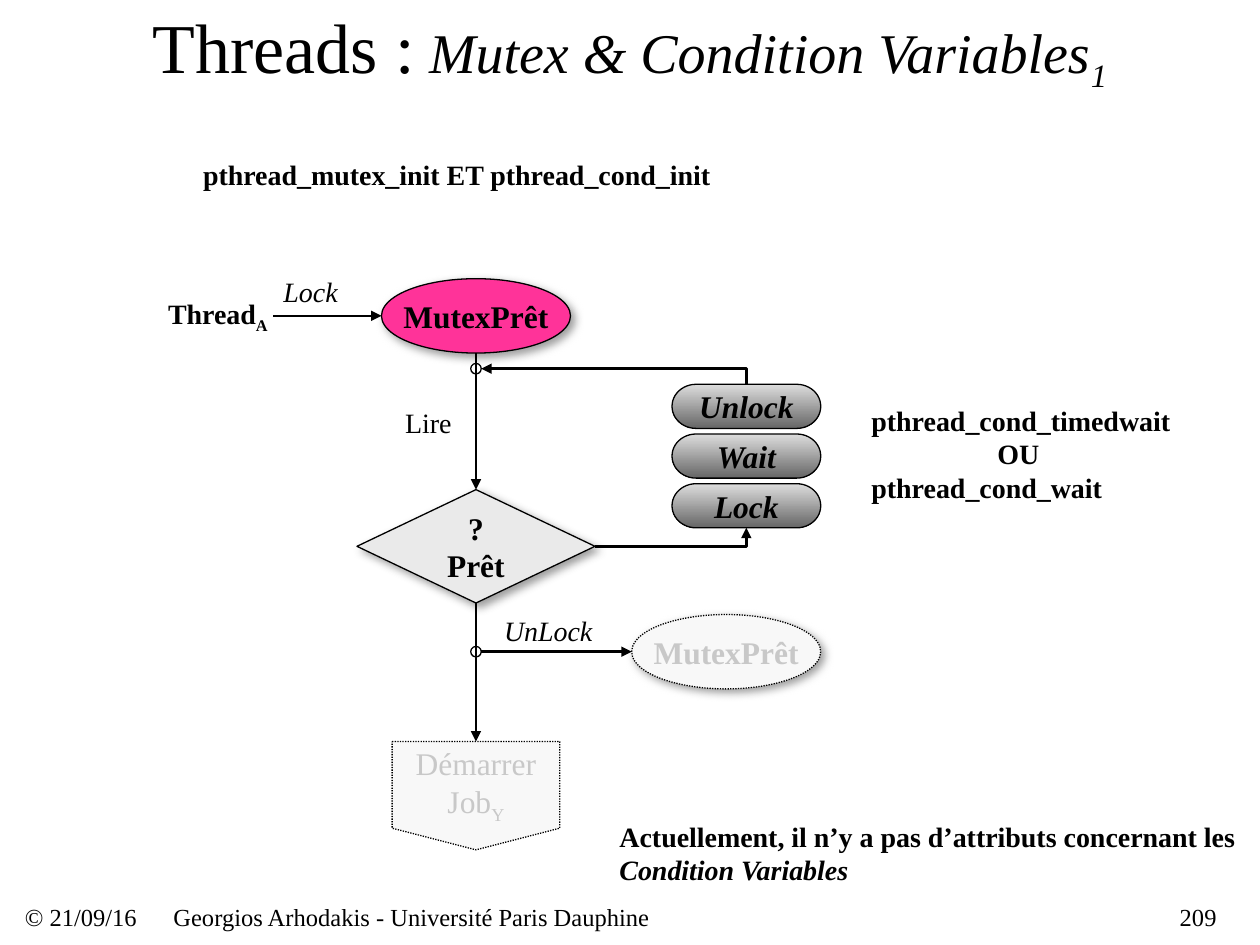
from dataclasses import dataclass

from lxml.etree import SubElement
from pptx import Presentation
from pptx.dml.color import RGBColor
from pptx.enum.dml import MSO_LINE
from pptx.enum.shapes import MSO_CONNECTOR, MSO_SHAPE
from pptx.enum.text import MSO_ANCHOR, PP_ALIGN
from pptx.oxml.ns import qn
from pptx.util import Pt


@dataclass(frozen=True)
class Theme:
    font: str = "Times New Roman"
    ink: str = "000000"
    ghost_ink: str = "C8C8C8"
    ghost_fill: str = "F8F8F8"
    mutex_fill: str = "FF3399"
    decision_fill: str = "EAEAEA"
    step_fill: tuple = ("DDDDDD", "666666")
    shadow: str = "808080"
    title: int = 40
    subtitle: int = 32
    node: int = 18
    label: int = 16
    footer: int = 14
    outline: float = 0.75
    arrow: float = 1.5


THEME = Theme()
AXIS = 272          # centre of the main flow
STEP_AXIS = 426.5   # centre of the Unlock / Wait / Lock stack
JUNCTION = 6
TAB_STOP = 72


@dataclass(frozen=True)
class Span:
    text: str
    size: float
    bold: bool = False
    italic: bool = False
    subscript: bool = False
    color: str = THEME.ink


def rgb(value):
    return RGBColor.from_string(value)


def add_tab_stop(paragraph):
    stops = SubElement(paragraph._p.get_or_add_pPr(), qn("a:tabLst"))
    SubElement(stops, qn("a:tab"), pos=str(Pt(TAB_STOP)), algn="l")


def write(frame, paragraphs, align=PP_ALIGN.LEFT, wrap=True):
    """Fill a text frame; each paragraph is a list of spans."""
    frame.word_wrap = wrap
    frame.vertical_anchor = MSO_ANCHOR.MIDDLE
    frame.margin_left = frame.margin_right = frame.margin_top = frame.margin_bottom = 0
    for index, spans in enumerate(paragraphs):
        paragraph = frame.add_paragraph() if index else frame.paragraphs[0]
        paragraph.alignment = align
        if spans[0].text.startswith("\t"):
            add_tab_stop(paragraph)
        for span in spans:
            run = paragraph.add_run()
            run.text = span.text
            run.font.name = THEME.font
            run.font.size = Pt(span.size)
            run.font.bold = span.bold
            run.font.italic = span.italic
            run.font.color.rgb = rgb(span.color)
            if span.subscript:
                run._r.get_or_add_rPr().set("baseline", "-25000")


def add_label(slide, box, paragraphs, align=PP_ALIGN.LEFT):
    label = slide.shapes.add_textbox(*map(Pt, box))
    write(label.text_frame, paragraphs, align)


def add_shadow(node):
    effects = node._element.spPr.find(qn("a:effectLst"))
    outer = SubElement(effects, qn("a:outerShdw"), blurRad=str(Pt(5)), dist=str(Pt(3)),
                       dir="2700000", algn="ctr", rotWithShape="0")
    color = SubElement(outer, qn("a:srgbClr"), val=THEME.shadow)
    SubElement(color, qn("a:alpha"), val="75000")


def add_node(slide, kind, center, size, fill=None, paragraphs=(), shadow=False, dotted=False):
    """Outlined shape around a centre; fill is a colour, a gradient pair or None."""
    (x, y), (width, height) = center, size
    node = slide.shapes.add_shape(kind, Pt(x - width / 2), Pt(y - height / 2),
                                  Pt(width), Pt(height))
    node.shadow.inherit = False
    if fill is None:
        node.fill.background()
    elif isinstance(fill, tuple):
        node.fill.gradient()
        node.fill.gradient_angle = 270
        for stop, color in zip(node.fill.gradient_stops, fill):
            stop.color.rgb = rgb(color)
    else:
        node.fill.solid()
        node.fill.fore_color.rgb = rgb(fill)
    node.line.color.rgb = rgb(THEME.ink)
    node.line.width = Pt(THEME.outline)
    if dotted:
        node.line.dash_style = MSO_LINE.ROUND_DOT
    if shadow:
        add_shadow(node)
    write(node.text_frame, paragraphs, PP_ALIGN.CENTER, wrap=False)


def add_junction(slide, y):
    add_node(slide, MSO_SHAPE.OVAL, (AXIS, y), (JUNCTION, JUNCTION))


def add_arrow(slide, start, end, bent=False, arrowhead="tailEnd"):
    """Straight arrow, or one that runs horizontally and then vertically."""
    kind = MSO_CONNECTOR.ELBOW if bent else MSO_CONNECTOR.STRAIGHT
    arrow = slide.shapes.add_connector(kind, *map(Pt, (*start, *end)))
    properties = arrow._element.spPr
    if bent:
        properties.find(qn("a:prstGeom")).set("prst", "bentConnector2")
    arrow.line.color.rgb = rgb(THEME.ink)
    arrow.line.width = Pt(THEME.arrow)
    SubElement(arrow.line._get_or_add_ln(), qn(f"a:{arrowhead}"), type="triangle")
    SubElement(properties, qn("a:effectLst"))


def add_header_and_footer(slide):
    add_label(slide, (54, 0, 612, 55.4), [[
        Span("Threads :", THEME.title),
        Span(" Mutex & Condition Variables", THEME.subtitle, italic=True),
        Span("1", THEME.subtitle, italic=True, subscript=True)]], PP_ALIGN.CENTER)
    for text, left, width, align in (
            ("© 21/09/16", 14.2, 78, PP_ALIGN.LEFT),
            ("Georgios Arhodakis - Université Paris Dauphine", 99.1, 492, PP_ALIGN.LEFT),
            ("209", 623.2, 72, PP_ALIGN.RIGHT)):
        add_label(slide, (left, 515.5, width, 16.6), [[Span(text, THEME.footer)]], align)


def add_flow(slide):
    mutex_y, loop_y, decision_y, unlock_y, job_y = 180.5, 210.7, 312.2, 372.4, 454.7
    mutex, decision, step, job = (108, 42.5), (136, 64.8), (85, 25.2), (95.8, 61.9)
    mutex_bottom = mutex_y + mutex[1] / 2
    decision_top, decision_bottom = decision_y - decision[1] / 2, decision_y + decision[1] / 2
    ghost_x = 415

    add_node(slide, MSO_SHAPE.FLOWCHART_CONNECTOR, (AXIS, mutex_y), mutex, THEME.mutex_fill,
             [[Span("MutexPrêt", THEME.node, bold=True)]], shadow=True)
    add_node(slide, MSO_SHAPE.FLOWCHART_DECISION, (AXIS, decision_y), decision,
             THEME.decision_fill,
             [[Span(text, THEME.node, bold=True)] for text in ("?", "Prêt")], shadow=True)
    add_node(slide, MSO_SHAPE.FLOWCHART_CONNECTOR, (ghost_x, unlock_y), mutex,
             THEME.ghost_fill,
             [[Span("MutexPrêt", THEME.node, bold=True, color=THEME.ghost_ink)]],
             shadow=True, dotted=True)
    add_node(slide, MSO_SHAPE.FLOWCHART_OFFPAGE_CONNECTOR, (AXIS, job_y), job,
             THEME.ghost_fill,
             [[Span("Démarrer", THEME.node, color=THEME.ghost_ink)],
              [Span("Job", THEME.node, color=THEME.ghost_ink),
               Span("Y", THEME.node, subscript=True, color=THEME.ghost_ink)]], dotted=True)

    first_step_y, step_pitch = 232.2, 28.4
    steps = ("Unlock", "Wait", "Lock")
    for index, text in enumerate(steps):
        add_node(slide, MSO_SHAPE.FLOWCHART_TERMINATOR,
                 (STEP_AXIS, first_step_y + index * step_pitch), step, THEME.step_fill,
                 [[Span(text, THEME.node, bold=True, italic=True)]])
    steps_top = first_step_y - step[1] / 2
    steps_bottom = steps_top + (len(steps) - 1) * step_pitch + step[1]

    add_junction(slide, loop_y)
    add_junction(slide, unlock_y)
    add_arrow(slide, (156.2, mutex_y), (AXIS - mutex[0] / 2, mutex_y))
    add_arrow(slide, (AXIS, mutex_bottom), (AXIS, decision_top))
    add_arrow(slide, (AXIS, decision_bottom), (AXIS, job_y - job[1] / 2))
    add_arrow(slide, (AXIS + JUNCTION / 2, unlock_y), (ghost_x - mutex[0] / 2, unlock_y))
    add_arrow(slide, (AXIS + decision[0] / 2, decision_y), (STEP_AXIS, steps_bottom), bent=True)
    add_arrow(slide, (AXIS + JUNCTION / 2, loop_y), (STEP_AXIS, steps_top),
              bent=True, arrowhead="headEnd")


def add_annotations(slide):
    for text, left, top, width, italic in (("Lock", 162, 157, 36, True),
                                           ("Lire", 231.5, 231.8, 32.4, False),
                                           ("UnLock", 288, 350.6, 54, True)):
        add_label(slide, (left, top, width, 19.4), [[Span(text, THEME.label, italic=italic)]])
    add_label(slide, (96, 170.6, 60, 19.4), [[
        Span("Thread", THEME.label, bold=True),
        Span("A", THEME.label, bold=True, subscript=True)]])
    add_label(slide, (108, 90, 306, 19.4), [[
        Span("pthread_mutex_init ET pthread_cond_init", THEME.label, bold=True)]],
        PP_ALIGN.CENTER)
    add_label(slide, (498, 230.4, 174, 57.6), [
        [Span(text, THEME.label, bold=True)]
        for text in ("pthread_cond_timedwait", "\tOU", "pthread_cond_wait")])
    add_label(slide, (354, 468.3, 354, 38.2), [[
        Span("Actuellement, il n’y a pas d’attributs concernant les ", THEME.label, bold=True),
        Span("Condition Variables", THEME.label, bold=True, italic=True)]])


def main():
    presentation = Presentation()
    presentation.slide_width, presentation.slide_height = Pt(720), Pt(540)
    slide = presentation.slides.add_slide(presentation.slide_layouts[6])
    add_header_and_footer(slide)
    add_flow(slide)
    add_annotations(slide)
    presentation.save("out.pptx")


if __name__ == "__main__":
    main()
